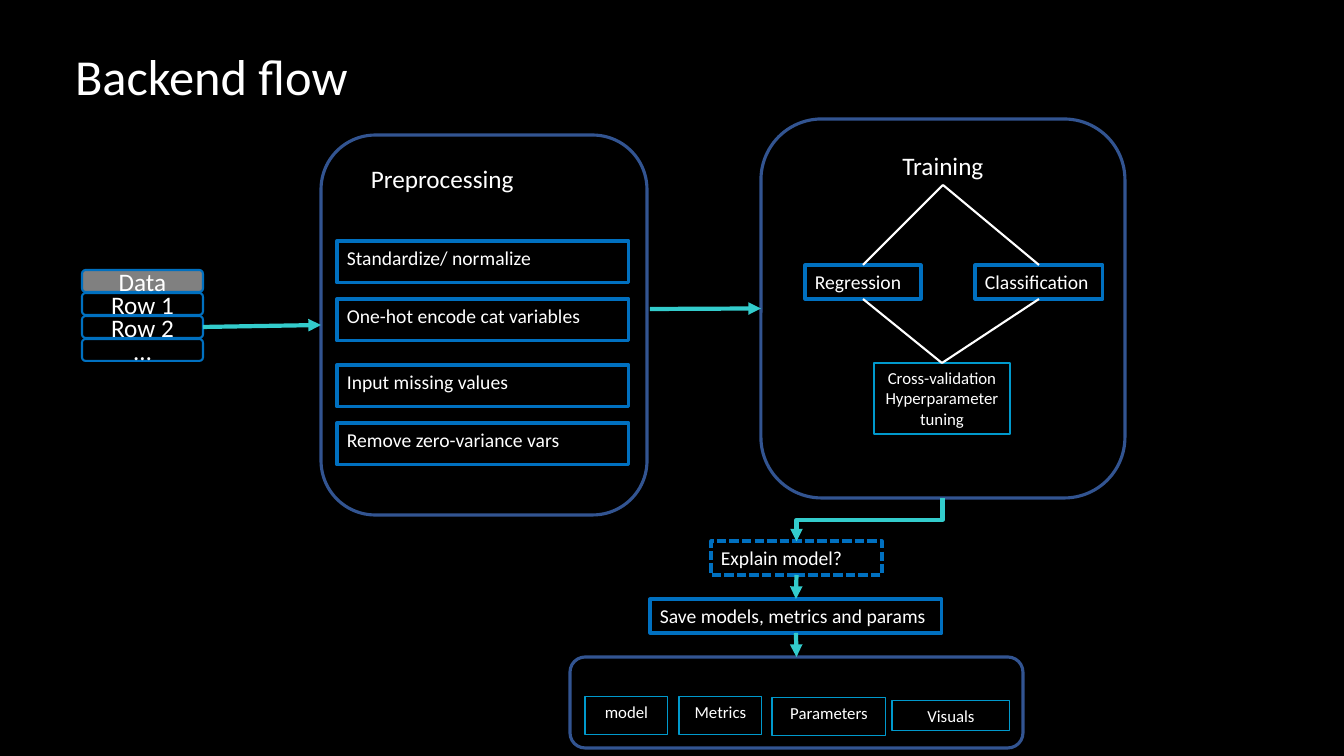
from lxml.etree import SubElement
from pptx import Presentation
from pptx.dml.color import RGBColor
from pptx.enum.dml import MSO_LINE
from pptx.enum.shapes import MSO_CONNECTOR, MSO_SHAPE
from pptx.enum.text import MSO_ANCHOR, MSO_AUTO_SIZE, PP_ALIGN
from pptx.oxml.ns import qn
from pptx.util import Pt

PX = 12192000 / 1344
WHITE, BLUE, NAVY, CYAN, TEAL = "FFFFFF", "0070C0", "325491", "0099CC", "33CCCC"
RECT, ROUND = MSO_SHAPE.RECTANGLE, MSO_SHAPE.ROUNDED_RECTANGLE
hue = RGBColor.from_string


def box(area, text="", size=14, line=BLUE, width=2.25, kind=RECT,
        align=PP_ALIGN.LEFT, anchor=MSO_ANCHOR.TOP):
    """Add an unfilled shape; a line of None leaves it without an outline."""
    item = slide.shapes.add_shape(kind, *[round(n * PX) for n in area])
    item.shadow.inherit = False
    item.fill.background()
    if line:
        item.line.color.rgb = hue(line)
        item.line.width = Pt(width)
    else:
        item.line.fill.background()
    frame = item.text_frame
    frame.word_wrap = True
    frame.vertical_anchor = anchor
    frame.text = text
    for para in frame.paragraphs:
        para.alignment = align
        para.font.size = Pt(size)
        para.font.name = "Calibri"
        para.font.color.rgb = hue(WHITE)
    return item


def link(start, side, end, goal, color=TEAL, width=3, kind=MSO_CONNECTOR.STRAIGHT):
    """Join two sides; a start given as a point stays free, and teal links get a head."""
    wire = slide.shapes.add_connector(kind, 0, 0, 0, 0)
    if isinstance(start, tuple):
        wire.begin_x, wire.begin_y = [round(n * PX) for n in start]
    else:
        wire.begin_connect(start, side)
    wire.end_connect(end, goal)
    wire.line.color.rgb = hue(color)
    wire.line.width = Pt(width)
    if color == TEAL:
        SubElement(wire.line._get_or_add_ln(), qn("a:tailEnd"), type="triangle")
    SubElement(wire._element.spPr, qn("a:effectLst"))
    return wire


deck = Presentation()
deck.slide_width, deck.slide_height = round(1344 * PX), round(756 * PX)
slide = deck.slides.add_slide(deck.slide_layouts[5])
slide.background.fill.solid()
slide.background.fill.fore_color.rgb = hue("000000")

title = slide.shapes.title
title.left, title.top, title.width, title.height = [round(n * PX) for n in (65, 40, 450, 72)]
title.text_frame.text = "Backend flow"
title.text_frame.auto_size = MSO_AUTO_SIZE.NONE
title.text_frame.vertical_anchor = MSO_ANCHOR.TOP
head = title.text_frame.paragraphs[0]
head.alignment = PP_ALIGN.LEFT
head.font.size = Pt(36)
head.font.name = "Calibri"
head.font.color.rgb = hue(WHITE)

# Data table
rows = [box((82, 270 + 23 * i, 121, 22), text, 18, width=1.5, kind=ROUND,
            align=PP_ALIGN.CENTER, anchor=MSO_ANCHOR.MIDDLE)
        for i, text in enumerate(["Data", "Row 1", "Row 2", "…"])]
rows[0].fill.solid()
rows[0].fill.fore_color.rgb = hue("808080")

# Preprocessing
prep = box((321, 135, 326, 380), line=NAVY, kind=ROUND)
box((361, 158, 235, 55), "Preprocessing", 18, None)
for top, text in [(241, "Standardize/ normalize"), (299, "One-hot encode cat variables"),
                  (365, "Input missing values"), (423, "Remove zero-variance vars")]:
    box((337, top, 292, 42), text)

# Training
train = box((761, 119, 364, 379), line=NAVY, kind=ROUND)
label = box((761, 145, 364, 40), "Training", 18, None, align=PP_ALIGN.CENTER)
tune = box((874, 363, 136, 71), "Cross-validation\nHyperparameter tuning", 12, CYAN, 1,
           align=PP_ALIGN.CENTER)
for left, width, text in [(805, 116, "Regression"), (975, 128, "Classification")]:
    task = box((left, 265, width, 34), text)
    link(label, 2, task, 0, WHITE, 1.5)
    link(tune, 0, task, 2, WHITE, 1.5)

# Results
ask = box((711, 541, 171, 34), "Explain model?")
ask.line.dash_style = MSO_LINE.SQUARE_DOT
save = box((650, 599, 292, 34), "Save models, metrics and params")
store = box((570, 657, 453, 91), line=NAVY, kind=ROUND)
for *area, text in [(585, 697, 83, 38, "model"), (679, 697, 83, 38, "Metrics"),
                    (772, 698, 114, 38, "Parameters"), (892, 701, 118, 30, "Visuals")]:
    box(area, text, 12, CYAN, 0.75, align=PP_ALIGN.CENTER)

# Flow
link(rows[2], 3, prep, 1)
link((650, 309), None, train, 1)
link(ask, 2, save, 0)
link(save, 2, store, 0)

# A quarter turn makes the elbow leave downwards
bend = link(train, 2, ask, 0, kind=MSO_CONNECTOR.ELBOW)
bend.left, bend.top, bend.width, bend.height = [round(n * PX) for n in (848, 447, 43, 146)]
turn = bend._element.spPr.find(qn("a:xfrm"))
turn.set("rot", "5400000")
turn.set("flipH", "0")

deck.save("out.pptx")
